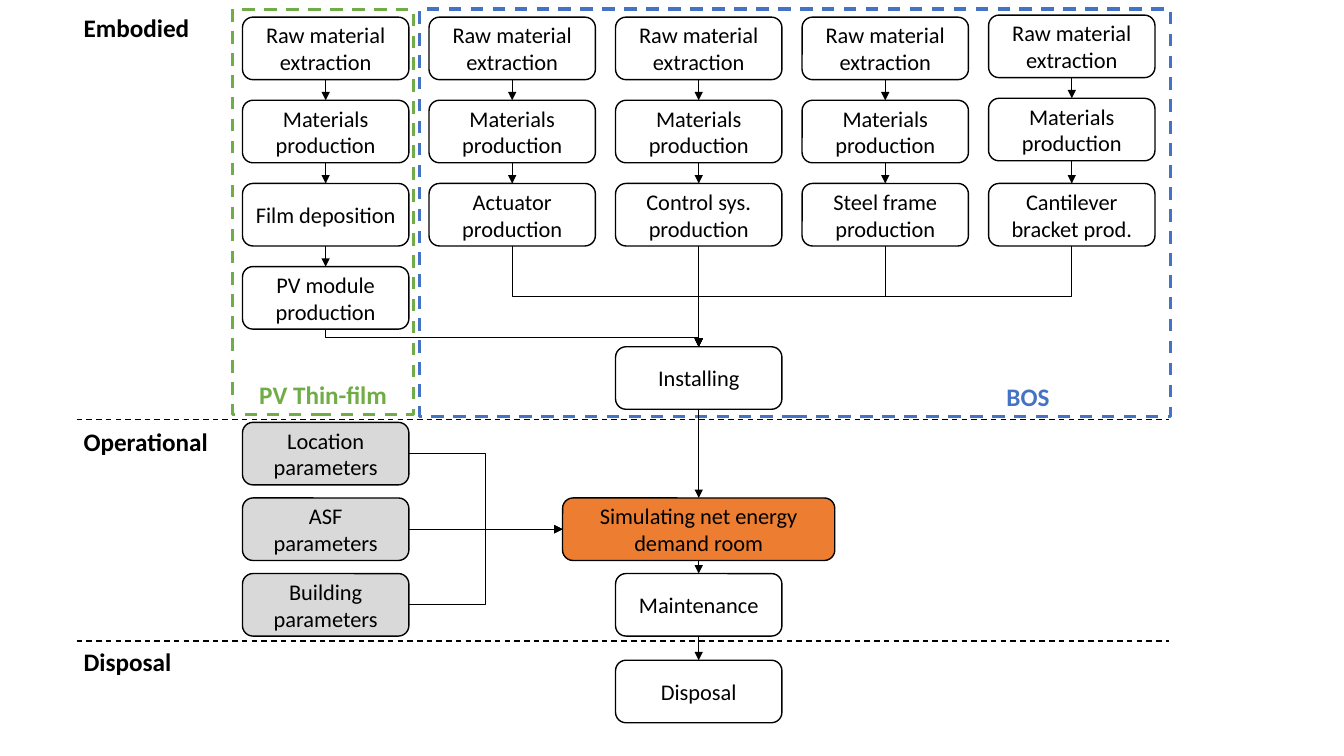
from lxml.etree import SubElement
from pptx import Presentation
from pptx.dml.color import RGBColor
from pptx.enum.dml import MSO_LINE
from pptx.enum.shapes import MSO_CONNECTOR, MSO_SHAPE
from pptx.enum.text import MSO_ANCHOR, PP_ALIGN
from pptx.oxml.ns import qn
from pptx.util import Inches, Pt

COLORS = {"black": "000000", "white": "FFFFFF", "grey": "D9D9D9",
          "orange": "ED7D31", "green": "70AD47", "blue": "4472C4"}
COLORS = {name: RGBColor.from_string(value) for name, value in COLORS.items()}
BOX_WIDTH, BOX_HEIGHT = 1.65, 0.62
COLUMNS = [3.23 + 1.85 * index for index in range(5)]
ROWS = [0.17 + 0.825 * index for index in range(4)]
TOP, LEFT, BOTTOM, RIGHT = range(4)  # connection sites of a box

presentation = Presentation()
presentation.slide_width = Inches(13.33)
presentation.slide_height = Inches(7.5)
slide = presentation.slides.add_slide(presentation.slide_layouts[6])
shapes = slide.shapes


def add_box(text, center, top, fill="white", width=BOX_WIDTH):
    box = shapes.add_shape(MSO_SHAPE.ROUNDED_RECTANGLE, Inches(center - width / 2),
                           Inches(top), Inches(width), Inches(BOX_HEIGHT))
    box.shadow.inherit = False
    box.fill.solid()
    box.fill.fore_color.rgb = COLORS[fill]
    box.line.color.rgb = COLORS["black"]
    box.line.width = Pt(1)
    box.text_frame.text = text
    box.text_frame.vertical_anchor = MSO_ANCHOR.MIDDLE
    paragraph = box.text_frame.paragraphs[0]
    paragraph.alignment = PP_ALIGN.CENTER
    font = paragraph.runs[0].font
    font.name, font.size, font.color.rgb = "Calibri", Pt(16), COLORS["black"]
    return box


def add_arrow(start, end, start_site=BOTTOM, end_site=TOP):
    arrow = shapes.add_connector(MSO_CONNECTOR.STRAIGHT, 0, 0, 0, 0)
    arrow.begin_connect(start, start_site)
    arrow.end_connect(end, end_site)
    across, down = arrow.end_x - arrow.begin_x, arrow.end_y - arrow.begin_y
    properties = arrow._element.spPr
    if min(abs(across), abs(down)) > Inches(0.01):
        properties.find(qn("a:prstGeom")).set("prst", "bentConnector3")
        if start_site == BOTTOM:
            # Turn the elbow so that it leaves the box downwards
            center_x, center_y = arrow.begin_x + across // 2, arrow.begin_y + down // 2
            arrow.width, arrow.height = down, abs(across)
            arrow.left, arrow.top = center_x - down // 2, center_y - abs(across) // 2
            transform = properties.find(qn("a:xfrm"))
            transform.set("rot", "16200000" if across > 0 else "5400000")
            transform.set("flipH", "1" if across > 0 else "0")
    arrow.line.color.rgb = COLORS["black"]
    arrow.line.width = Pt(0.75)
    SubElement(properties.find(qn("a:ln")), qn("a:tailEnd"), type="triangle")
    SubElement(properties, qn("a:effectLst"))


# Dashed frames around the two groups
for text, color, left, width, height, alignment, inset in [
    ("PV Thin-film", "green", 2.31, 1.79, 4.02, PP_ALIGN.CENTER, 0.1),
    ("BOS", "blue", 4.16, 7.45, 4.04, PP_ALIGN.RIGHT, 1.2),
]:
    frame = shapes.add_shape(MSO_SHAPE.RECTANGLE, Inches(left), Inches(0.09),
                             Inches(width), Inches(height))
    frame.shadow.inherit = False
    frame.fill.background()
    frame.line.color.rgb = COLORS[color]
    frame.line.width = Pt(2.25)
    frame.line.dash_style = MSO_LINE.DASH
    frame.text_frame.text = text
    frame.text_frame.vertical_anchor = MSO_ANCHOR.BOTTOM
    frame.text_frame.margin_right = Inches(inset)
    paragraph = frame.text_frame.paragraphs[0]
    paragraph.alignment = alignment
    font = paragraph.runs[0].font
    font.name, font.size, font.bold = "Calibri", Pt(18), True
    font.color.rgb = COLORS[color]

# Phase separators
for y in (4.16, 6.36):
    separator = shapes.add_connector(MSO_CONNECTOR.STRAIGHT, Inches(0.76), Inches(y),
                                     Inches(11.59), Inches(y))
    separator.line.color.rgb = COLORS["black"]
    separator.line.width = Pt(1)
    separator.line.dash_style = MSO_LINE.DASH
    SubElement(separator._element.spPr, qn("a:effectLst"))

# Phase headings
for text, top, width in [("Embodied", 0.07, 1.52), ("Operational", 4.18, 1.52),
                         ("Disposal", 6.36, 1.22)]:
    heading = shapes.add_textbox(Inches(0.73), Inches(top), Inches(width), Inches(0.4))
    heading.text_frame.word_wrap = True
    heading.text_frame.text = text
    font = heading.text_frame.paragraphs[0].runs[0].font
    font.name, font.size, font.bold = "Calibri", Pt(18), True
    font.color.rgb = COLORS["black"]

# Main chain from installing to disposal
main = COLUMNS[2]
installing = add_box("Installing", main, 3.44)
simulating = add_box("Simulating net energy demand room", main, 4.94, "orange", 2.7)
maintenance = add_box("Maintenance", main, 5.69)
disposal = add_box("Disposal", main, 6.55)
chain = [installing, simulating, maintenance, disposal]
for start, end in zip(chain, chain[1:]):
    add_arrow(start, end)

# Production columns, each leading to installing
products = [["Film deposition", "PV module production"], ["Actuator production"],
            ["Control sys. production"], ["Steel frame production"],
            ["Cantilever bracket prod."]]
for center, steps in zip(COLUMNS, products):
    raise_by = 0.02 if center == COLUMNS[-1] else 0
    boxes = [add_box("Raw material extraction", center, ROWS[0] - raise_by),
             add_box("Materials production", center, ROWS[1] - raise_by)]
    boxes += [add_box(step, center, top) for step, top in zip(steps, ROWS[2:])]
    for start, end in zip(boxes, boxes[1:] + [installing]):
        add_arrow(start, end)

# Parameters feeding the simulation
for index, name in enumerate(["Location", "ASF", "Building"]):
    parameters = add_box(f"{name} parameters", COLUMNS[0], 4.19 + 0.75 * index, "grey")
    add_arrow(parameters, simulating, RIGHT, LEFT)

presentation.save("out.pptx")
